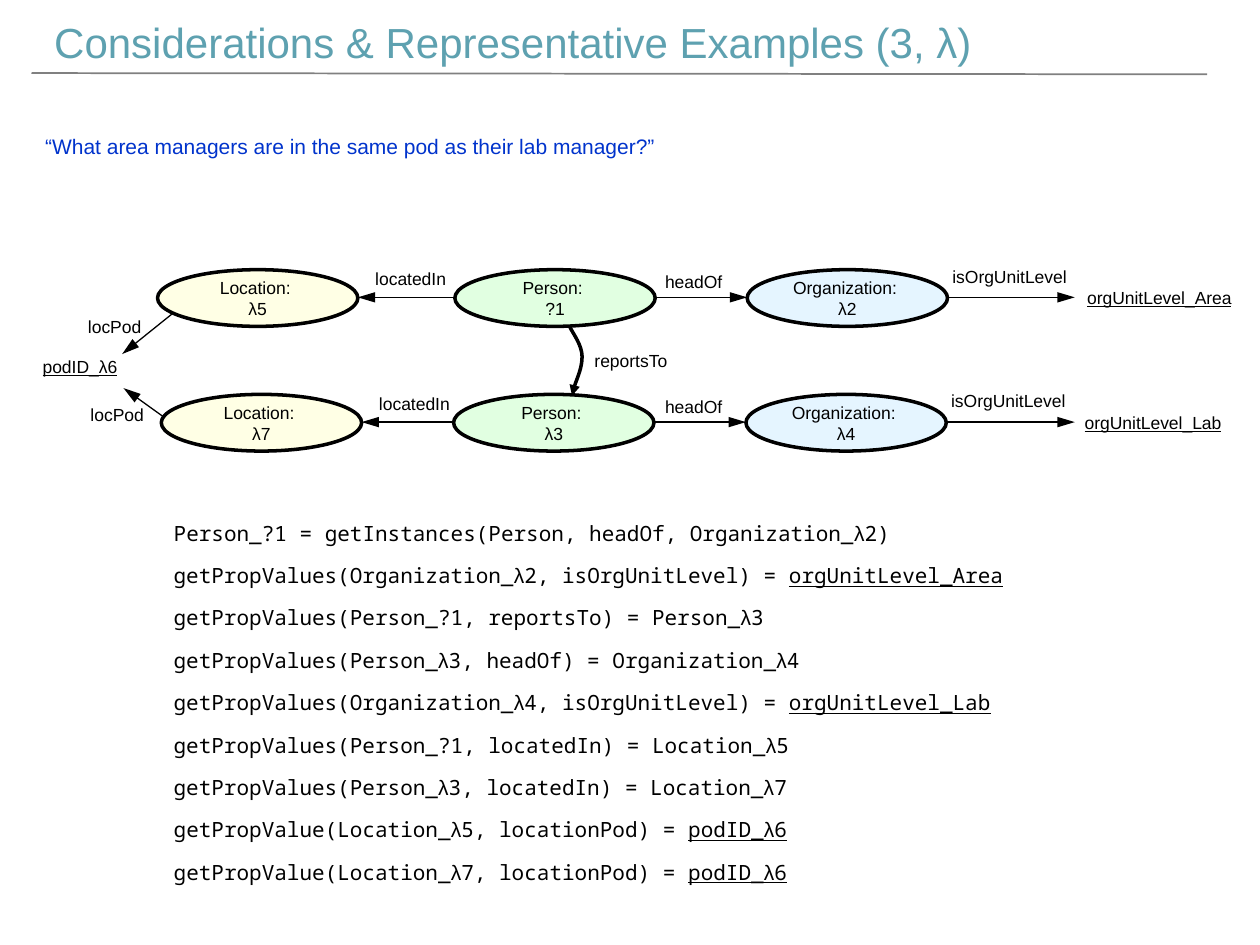
import itertools

import pptx
import pptx.dml.color
import pptx.enum.shapes
import pptx.enum.text
import pptx.oxml
import pptx.oxml.ns
import pptx.util
from lxml import etree

Inches, Pt, qn = pptx.util.Inches, pptx.util.Pt, pptx.oxml.ns.qn
rgb = pptx.dml.color.RGBColor.from_string
ANCHOR, ALIGN = pptx.enum.text.MSO_ANCHOR, pptx.enum.text.PP_ALIGN
FIT = pptx.enum.text.MSO_AUTO_SIZE.SHAPE_TO_FIT_TEXT

prs = pptx.Presentation()
prs.slide_width, prs.slide_height = Inches(10), Inches(7.5)
slide = prs.slides.add_slide(prs.slide_layouts[5])
shapes = slide.shapes


def add_text(left, top, width, height, text, size=10, color="000000", face="Arial", wrap=False):
    """Add one line of text; whatever follows a bar is underlined, and λ is always in Arial."""
    box = shapes.add_textbox(Inches(left), Inches(top), Inches(width), Inches(height))
    frame = box.text_frame
    frame.word_wrap, frame.auto_size = wrap, FIT
    line = frame.paragraphs[0]
    line.font.size, line.font.name, line.font.color.rgb = Pt(size), face, rgb(color)
    plain, _, underlined = text.partition("|")
    for part, underline in ((plain, None), (underlined, True)):
        for is_lambda, letters in itertools.groupby(part, lambda c: c == "λ" and face != "Arial"):
            run = line.add_run()
            run.text = "".join(letters)
            run.font.underline = underline
            if is_lambda:
                run.font.name = "Arial"


def add_line(x1, y1, x2, y2, color="000000", weight=0.75, arrow=True):
    line = shapes.add_connector(pptx.enum.shapes.MSO_CONNECTOR.STRAIGHT,
                                Inches(x1), Inches(y1), Inches(x2), Inches(y2))
    line.line.color.rgb, line.line.width = rgb(color), Pt(weight)
    if arrow:
        etree.SubElement(line.line._get_or_add_ln(), qn("a:tailEnd"), type="triangle", len="lg")
    etree.SubElement(line._element.spPr, qn("a:effectLst"))


# Heading
title = shapes.title
title.left, title.top, title.width, title.height = map(Inches, (0.33, 0.08, 7.58, 0.5))
title.text_frame.text = "Considerations & Representative Examples (3, λ)"
title.text_frame.word_wrap, title.text_frame.auto_size = False, FIT
title.text_frame.vertical_anchor = ANCHOR.TOP
heading = title.text_frame.paragraphs[0]
heading.alignment = ALIGN.LEFT
heading.font.size, heading.font.name, heading.font.color.rgb = Pt(24), "Arial", rgb("5EA1B0")
add_line(0.25, 0.58, 9.58, 0.59, "808080", 1, arrow=False)
add_text(0.26, 1.01, 5.08, 0.3,
         "“What area managers are in the same pod as their lab manager?”", 12, "0033CC")

# Graph: one row per manager, with a location, a person and an organization
NODE_W, NODE_H = 1.59, 0.45
FILLS = {"Location": "FFFFE5", "Person": "E1FFE1", "Organization": "E5F5FF"}
rows = [
    (2.14, (1.25, 3.61, 5.93), ("λ5", "?1", "λ2"), "|orgUnitLevel_Area", 8.53, 1.36),
    (3.13, (1.28, 3.60, 5.92), ("λ7", "λ3", "λ4"), "|orgUnitLevel_Lab", 8.51, 1.29),
]
for top, lefts, ids, level, level_left, level_width in rows:
    for left, (kind, fill), node_id in zip(lefts, FILLS.items(), ids):
        node = shapes.add_shape(pptx.enum.shapes.MSO_SHAPE.OVAL, Inches(left), Inches(top),
                                Inches(NODE_W), Inches(NODE_H))
        node.shadow.inherit = False
        node.fill.solid()
        node.fill.fore_color.rgb = rgb(fill)
        node.line.color.rgb, node.line.width = rgb("000000"), Pt(2)
        node.text_frame.text = f"{kind}: \n{node_id}"
        node.text_frame.vertical_anchor = ANCHOR.MIDDLE
        for line in node.text_frame.paragraphs:
            line.alignment = ALIGN.CENTER
            line.font.size, line.font.name, line.font.color.rgb = Pt(10), "Arial", rgb("000000")

    location, person, organization = lefts
    middle = top + 0.22
    add_line(person, middle, location + NODE_W, middle)
    add_line(person + NODE_W, middle, organization, middle)
    add_line(organization + NODE_W, middle, 8.53, middle)
    add_text(location + 1.63, top - 0.06, 0.77, 0.27, "locatedIn")
    add_text(5.18, top - 0.04, 0.66, 0.27, "headOf")
    add_text(organization + 1.53, top - 0.08, 1.12, 0.27, "isOrgUnitLevel")
    add_text(level_left, top + 0.09, level_width, 0.27, level)

# Both locations share one pod
add_line(1.38, 2.48, 0.97, 2.81)
add_line(1.30, 3.31, 0.98, 3.08)
add_text(0.60, 2.46, 0.63, 0.27, "locPod")
add_text(0.62, 3.16, 0.63, 0.27, "locPod")
add_text(0.24, 2.78, 0.84, 0.27, "|podID_λ6")

# Curved arrow between the persons: start, then three Bézier points per curve
bend = [(Inches(x), Inches(y)) for x, y in (
    (4.52, 2.59), (4.55, 2.65), (4.62, 2.74), (4.62, 2.83),
    (4.62, 2.92), (4.54, 3.1), (4.54, 3.14))]
builder = shapes.build_freeform(*bend[0])
builder.add_line_segments(bend[1:], close=False)
reports_to = builder.convert_to_shape()
reports_to.shadow.inherit = False
reports_to.fill.background()
reports_to.line.color.rgb, reports_to.line.width = rgb("000000"), Pt(2)
etree.SubElement(reports_to.line._get_or_add_ln(), qn("a:tailEnd"), type="triangle")
outline = next(reports_to._element.iter(qn("a:path")))
for i, segment in enumerate(outline.findall(qn("a:lnTo"))):
    if i % 3 == 0:
        curve = etree.SubElement(outline, qn("a:cubicBezTo"))
    curve.append(segment[0])
    outline.remove(segment)
add_text(4.62, 2.73, 0.8, 0.27, "reportsTo")

# Query steps
steps = [
    (5.99, "Person_?1 = getInstances(Person, headOf, Organization_λ2)"),
    (6.9, "getPropValues(Organization_λ2, isOrgUnitLevel) = |orgUnitLevel_Area"),
    (6.9, "getPropValues(Person_?1, reportsTo) = Person_λ3"),
    (6.9, "getPropValues(Person_λ3, headOf) = Organization_λ4"),
    (6.9, "getPropValues(Organization_λ4, isOrgUnitLevel) = |orgUnitLevel_Lab"),
    (6.9, "getPropValues(Person_?1, locatedIn) = Location_λ5"),
    (6.9, "getPropValues(Person_λ3, locatedIn) = Location_λ7"),
    (5.18, "getPropValue(Location_λ5, locationPod) = |podID_λ6"),
    (5.18, "getPropValue(Location_λ7, locationPod) = |podID_λ6"),
]
STEP_PITCH = (6.77 - 4.08) / (len(steps) - 1)
for i, (width, step) in enumerate(steps):
    add_text(1.28, 4.08 + i * STEP_PITCH, width, 0.3, step, 12,
             face="Noto Sans Mono", wrap=width == 6.9)

prs.save("out.pptx")
